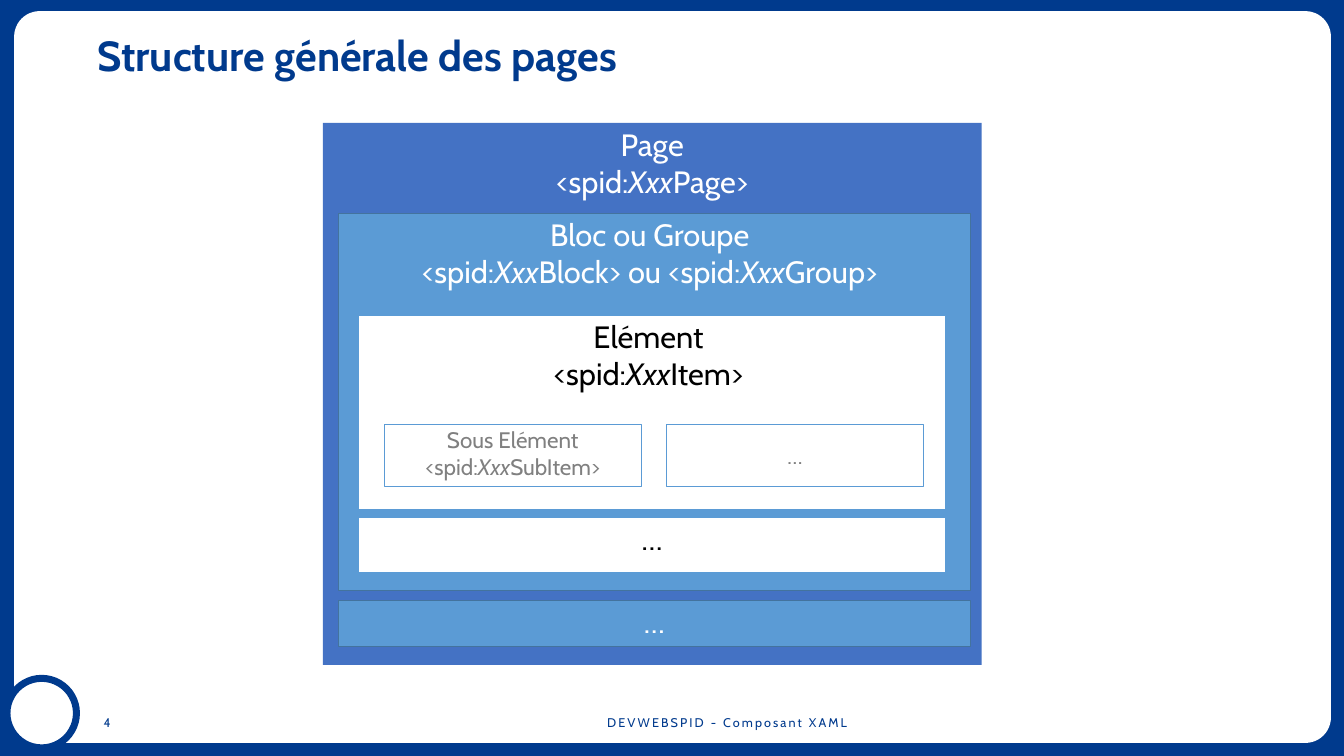
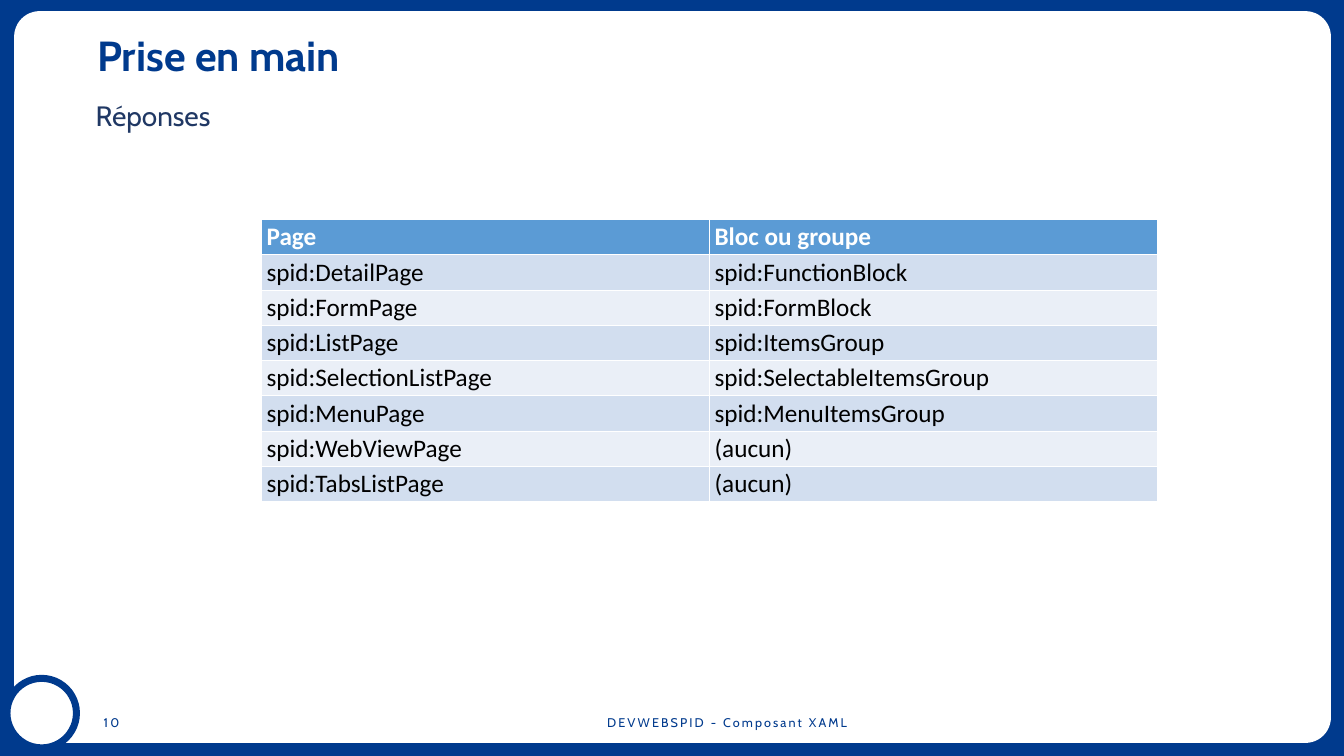
from dataclasses import dataclass

from lxml import etree
from pptx import Presentation
from pptx.dml.color import RGBColor
from pptx.enum.shapes import MSO_SHAPE
from pptx.enum.text import MSO_ANCHOR, PP_ALIGN
from pptx.oxml.ns import qn
from pptx.util import Inches, Pt

RECTANGLE, ROUNDED, ELLIPSE = MSO_SHAPE.RECTANGLE, MSO_SHAPE.ROUNDED_RECTANGLE, MSO_SHAPE.OVAL
LEFT, CENTER = PP_ALIGN.LEFT, PP_ALIGN.CENTER
TOP, MIDDLE = MSO_ANCHOR.TOP, MSO_ANCHOR.MIDDLE


@dataclass(frozen=True)
class Theme:
    """Colours, fonts and type sizes of the deck."""
    navy: str = "003A8D"
    dark_navy: str = "203864"
    indigo: str = "4472C4"
    sky: str = "5B9BD5"
    sky_edge: str = "43739E"
    band_dark: str = "D2DEEF"
    band_light: str = "EAEFF7"
    white: str = "FFFFFF"
    black: str = "000000"
    grey: str = "808080"
    font: str = "Cabin"
    table_font: str = "Calibri"
    title_size: int = 60
    box_size: int = 44
    subtitle_size: int = 40
    table_size: int = 36
    small_box_size: int = 32
    footer_size: int = 18


class Deck:
    """Draws elements on the current slide, placed in percent of the slide's size."""

    def __init__(self, theme):
        self.theme = theme
        self.presentation = Presentation()
        self.presentation.slide_width = Inches(26.67)
        self.presentation.slide_height = Inches(15)
        self.slide = None

    def place(self, left, top, width, height):
        """Turn percentages into slide lengths."""
        across = self.presentation.slide_width / 100
        down = self.presentation.slide_height / 100
        return int(left * across), int(top * down), int(width * across), int(height * down)

    def new_slide(self, title, number):
        """Start a slide with its frame, title and footer."""
        theme = self.theme
        self.slide = self.presentation.slides.add_slide(self.presentation.slide_layouts[6])
        background = self.slide.background.fill
        background.solid()
        background.fore_color.rgb = RGBColor.from_string(theme.navy)
        card = self.shape(ROUNDED, (1.05, 1.47, 97.98, 96.8), theme.white)
        card.adjustments[0] = 0.035
        self.shape(ELLIPSE, (0.52, 89.73, 5.17, 9.2), theme.white, theme.navy, 10)
        heading = self.text((6.86, 4.33, 90.36, 7.67), title, theme.title_size, theme.navy, bold=True)
        heading.text_frame.paragraphs[0].line_spacing = 0.9
        footer = {"size": theme.footer_size, "color": theme.navy, "anchor": MIDDLE, "tracking": 3}
        self.text((10.99, 93.93, 86.24, 3.27), "DEVWEBSPID - Composant XAML", align=CENTER, **footer)
        self.text((7.35, 93.93, 4.31, 3.27), number, **footer)

    def shape(self, kind, area, fill, line=None, line_width=1):
        """Add a filled preset shape."""
        shape = self.slide.shapes.add_shape(kind, *self.place(*area))
        shape.shadow.inherit = False
        shape.fill.solid()
        shape.fill.fore_color.rgb = RGBColor.from_string(fill)
        if line:
            shape.line.color.rgb = RGBColor.from_string(line)
            shape.line.width = Pt(line_width)
        else:
            shape.line.fill.background()
        return shape

    def text(self, area, content, size, color, align=LEFT, anchor=TOP, bold=False, tracking=0):
        """Add a text box with one paragraph."""
        box = self.slide.shapes.add_textbox(*self.place(*area))
        self.fill_text(box.text_frame, [content], size, color, align, anchor, bold, tracking=tracking)
        return box

    def box(self, area, lines, fill, line, color, size, anchor=TOP, right_inset=0.1):
        """Add a rectangle holding centred lines."""
        shape = self.shape(RECTANGLE, area, fill, line)
        self.fill_text(shape.text_frame, lines, size, color, CENTER, anchor)
        shape.text_frame.margin_right = Inches(right_inset)

    def fill_text(self, frame, lines, size, color, align=LEFT, anchor=TOP, bold=False, font=None, tracking=0):
        """Add lines run by run; every second part between bars is italic."""
        frame.word_wrap = True
        frame.vertical_anchor = anchor
        for index, line in enumerate(lines):
            paragraph = frame.add_paragraph() if index else frame.paragraphs[0]
            paragraph.alignment = align
            for position, part in enumerate(line.split("|")):
                run = paragraph.add_run()
                run.text = part
                run.font.name = font or self.theme.font
                run.font.size = Pt(size)
                run.font.bold = bold
                run.font.italic = position % 2 == 1
                run.font.color.rgb = RGBColor.from_string(color)
                if tracking:
                    run._r.get_or_add_rPr().set("spc", str(tracking * 100))

    def table(self, area, rows):
        """Add a table with a header row and alternating bands."""
        theme = self.theme
        table = self.slide.shapes.add_table(len(rows), len(rows[0]), *self.place(*area)).table
        for row_index, row in enumerate(rows):
            header = row_index == 0
            band = theme.band_dark if row_index % 2 else theme.band_light
            for column_index, content in enumerate(row):
                cell = table.cell(row_index, column_index)
                cell.fill.solid()
                cell.fill.fore_color.rgb = RGBColor.from_string(theme.sky if header else band)
                self.fill_text(cell.text_frame, [content], theme.table_size,
                               theme.white if header else theme.black, bold=header, font=theme.table_font)
                self.borders(cell, {"L": 1, "R": 1, "T": 3 if row_index == 1 else 1, "B": 3 if header else 1})

    def borders(self, cell, widths):
        """Draw white cell borders of the given widths in points."""
        properties = cell._tc.get_or_add_tcPr()
        for index, (side, width) in enumerate(widths.items()):
            line = etree.Element(qn(f"a:ln{side}"), w=str(Pt(width)))
            fill = etree.SubElement(line, qn("a:solidFill"))
            etree.SubElement(fill, qn("a:srgbClr"), val=self.theme.white)
            properties.insert(index, line)


def build_structure(deck):
    """Build the nested page structure slide."""
    theme = deck.theme
    page = (theme.indigo, None, theme.white, theme.box_size)
    block = (theme.sky, theme.sky_edge, theme.white, theme.box_size)
    item = (theme.white, theme.sky, theme.black, theme.box_size)
    sub_item = (theme.white, theme.sky, theme.grey, theme.small_box_size)
    deck.new_slide("Structure générale des pages", "4")
    deck.box((24.03, 16.27, 49.01, 71.67), ["Page", "<spid:|Xxx|Page>"], *page)
    deck.box((25.2, 28.27, 46.98, 49.87),
             ["Bloc ou Groupe", "<spid:|Xxx|Block> ou <spid:|Xxx|Group>"], *block, right_inset=0.28)
    deck.box((26.7, 41.67, 43.64, 25.67), ["Elément", "<spid:|Xxx|Item>"], *item, right_inset=0.24)
    sub_items = [("Sous Elément <spid:|Xxx|SubItem>", TOP), ("…", MIDDLE)]
    for index, (content, anchor) in enumerate(sub_items):
        deck.box((28.61 + 21 * index, 56.1, 19.09, 8.27), [content], *sub_item, anchor=anchor)
    deck.box((26.7, 68.47, 43.64, 7.2), ["…"], *item)
    deck.box((25.2, 79.4, 46.98, 6.13), ["…"], *block)


def build_answers(deck):
    """Build the answers slide with its table."""
    theme = deck.theme
    deck.new_slide("Prise en main", "10")
    deck.text((6.75, 12.67, 90.48, 5.13), "Réponses", theme.subtitle_size, theme.dark_navy)
    deck.table((19.46, 29, 66.67, 37.33), [
        ("Page", "Bloc ou groupe"),
        ("spid:DetailPage", "spid:FunctionBlock"),
        ("spid:FormPage", "spid:FormBlock"),
        ("spid:ListPage", "spid:ItemsGroup"),
        ("spid:SelectionListPage", "spid:SelectableItemsGroup"),
        ("spid:MenuPage", "spid:MenuItemsGroup"),
        ("spid:WebViewPage", "(aucun)"),
        ("spid:TabsListPage", "(aucun)"),
    ])


def main():
    """Build both slides and save the deck."""
    deck = Deck(Theme())
    build_structure(deck)
    build_answers(deck)
    deck.presentation.save("out.pptx")


if __name__ == "__main__":
    main()
